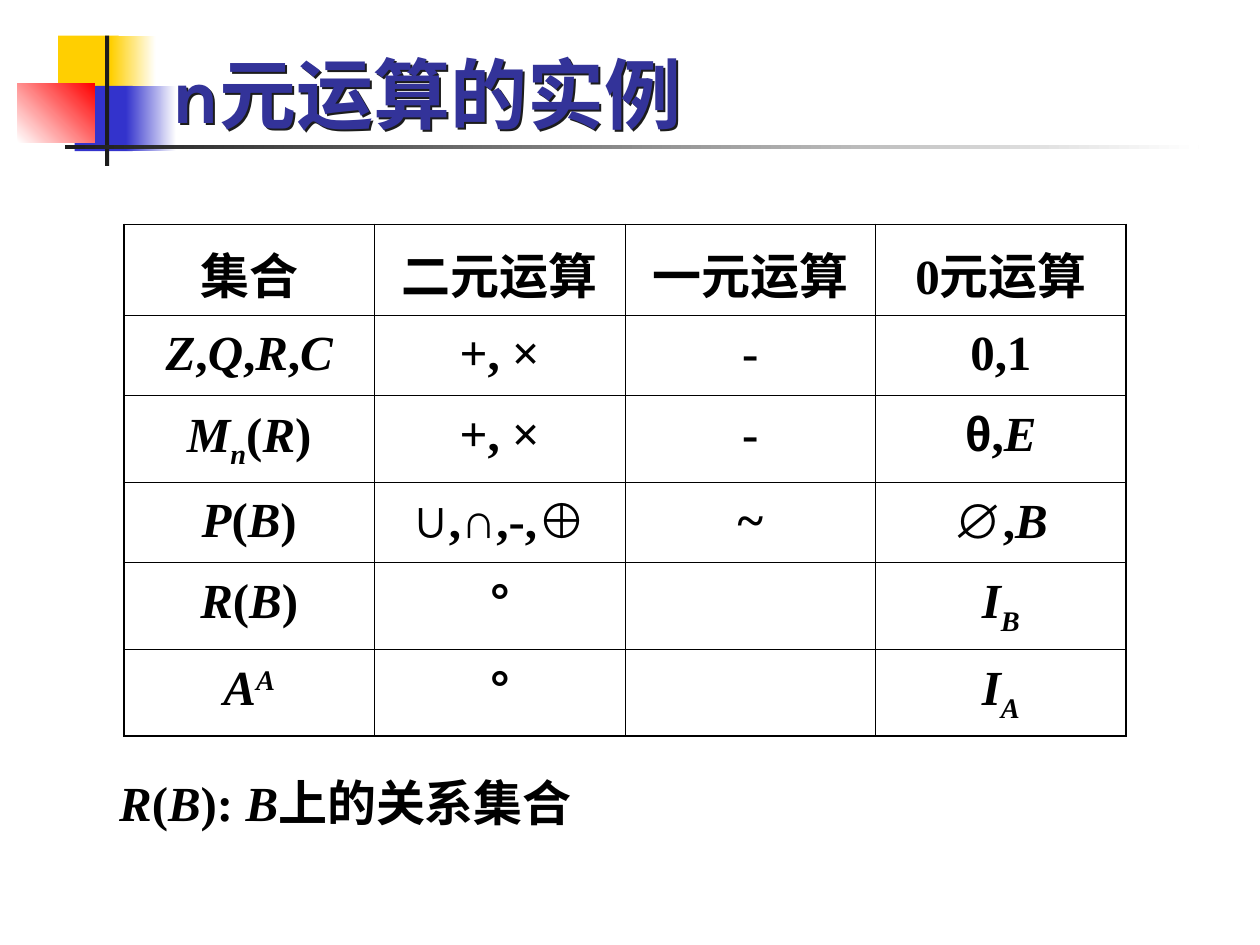
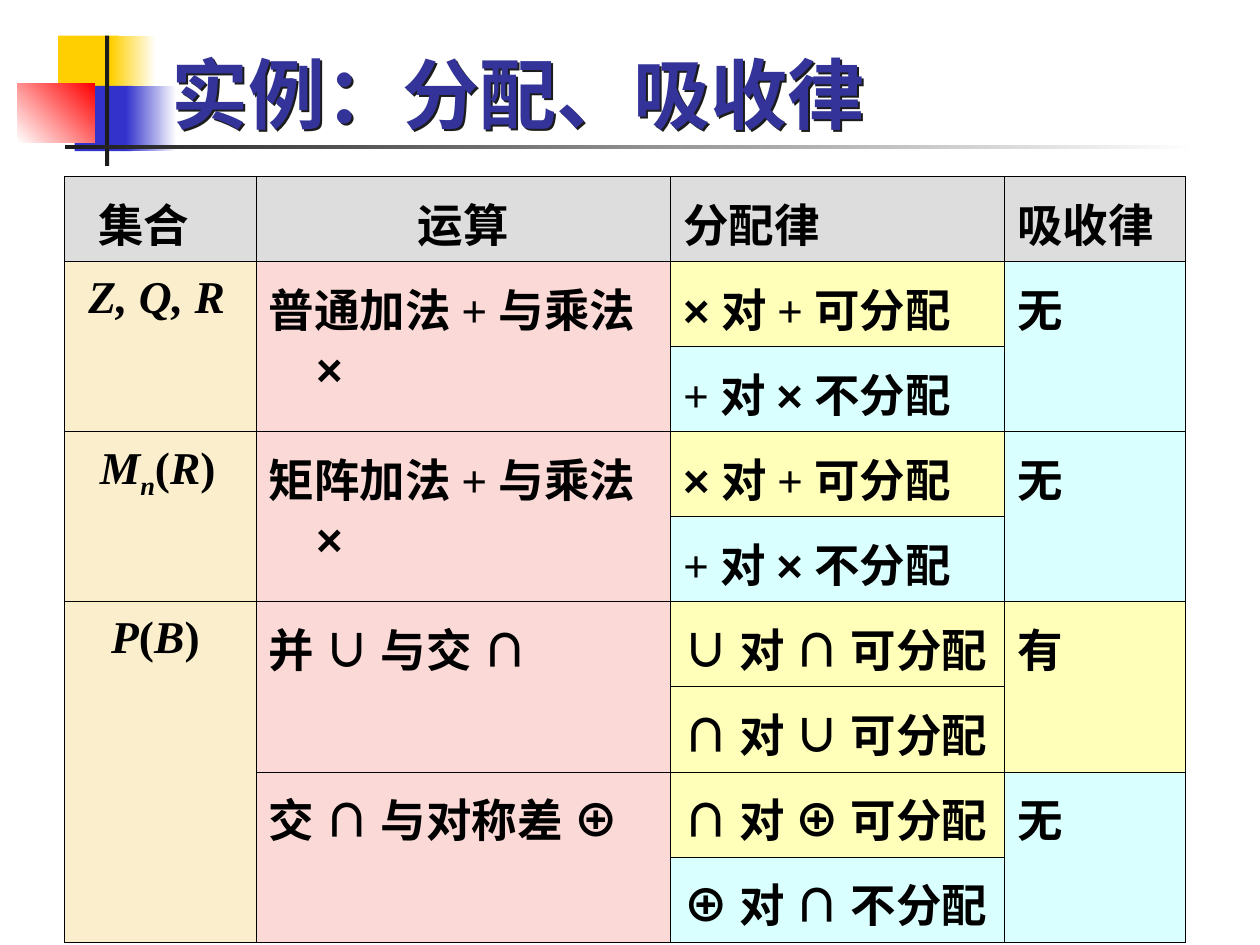
import itertools

import lxml.etree
import pptx
import pptx.dml.color
import pptx.enum.shapes
import pptx.enum.text
import pptx.oxml.ns
import pptx.util

Pt = pptx.util.Pt
qn = pptx.oxml.ns.qn
ALIGN = pptx.enum.text.PP_ALIGN

COLORS = {
    "gold": "FFCF01", "blue": "3333CC", "red": "FF0000", "white": "FFFFFF",
    "rule": "1C1C1C", "title": "333399", "text": "000000",
    "header": "DDDDDD", "set": "FBEECD", "operation": "FAD9D6",
    "holds": "FFFFB9", "fails": "D9FFFF",
}
TITLE_FONT, BODY_FONT, SYMBOL_FONT = "Karla", "Times New Roman", "Arial"
THIN, THICK = 0.45, 1.08
BASELINES = {"_": "-25000", "^": "30000"}

# left, top, width, height, colours (two make a gradient), angle
BAND = [
    (33.2, 20.4, 34.6, 37.4, ["gold"], 0),
    (63.4, 20.4, 25.6, 37.4, ["gold", "white"], 0),
    (42.6, 49, 33.2, 37.4, ["blue"], 0),
    (72, 49, 28.8, 37.4, ["blue", "white"], 0),
    (10, 47.8, 44.2, 33.6, ["white", "red"], 45),
    (60, 20.4, 2.4, 74.4, ["rule"], 0),
    (37, 82.8, 648, 2.4, ["rule", "white"], 0),
]

OPERATION_EXAMPLES = [
    ["集合", "二元运算", "一元运算", "0元运算"],
    ["*Z*,*Q*,*R*,*C*", "+, ×", "-", "0,1"],
    ["*M_n*(*R*)", "+, ×", "-", "θ,*E*"],
    ["*P*(*B*)", "∪,∩,-,⊕", "~", "∅,*B*"],
    ["*R*(*B*)", "°", "", "*I_B*"],
    ["*A^A*", "°", "", "*I_A*"],
]

# None continues the cell above
LAW_EXAMPLES = [
    ["集合", "运算", "分配律", "吸收律"],
    ["*Z, Q, R*", "普通加法 + 与乘法 ×", "× 对 + 可分配", "无"],
    [None, None, "+ 对 × 不分配", None],
    ["*M_n*(*R*)", "矩阵加法 + 与乘法 ×", "× 对 + 可分配", "无"],
    [None, None, "+ 对 × 不分配", None],
    ["*P*(*B*)", "并 ∪ 与交 ∩", "∪ 对 ∩ 可分配", "有"],
    [None, None, "∩ 对 ∪ 可分配", None],
    [None, "交 ∩ 与对称差 ⊕", "∩ 对 ⊕ 可分配", "无"],
    [None, None, "⊕ 对 ∩ 不分配", None],
]
SET_INDENTS = {0: 12, 1: 6.5, 3: 13, 5: 19.5}
HANGING = 27


def rgb(name):
    return pptx.dml.color.RGBColor.from_string(COLORS[name])


def set_font(paragraph, name, size, color):
    font = paragraph.font
    font.name, font.size, font.bold = name, Pt(size), True
    font.color.rgb = rgb(color)


def add_band(slide):
    for left, top, width, height, colors, angle in BAND:
        block = slide.shapes.add_shape(
            pptx.enum.shapes.MSO_SHAPE.RECTANGLE,
            Pt(left), Pt(top), Pt(width), Pt(height))
        block.shadow.inherit = False
        block.line.fill.background()
        if len(colors) == 1:
            block.fill.solid()
            block.fill.fore_color.rgb = rgb(colors[0])
        else:
            block.fill.gradient()
            block.fill.gradient_angle = angle
            for stop, color in zip(block.fill.gradient_stops, colors):
                stop.color.rgb = rgb(color)


def add_title(slide, text):
    """Add the title; the shadow of its unfilled box falls from the letters."""
    title = slide.shapes.add_textbox(Pt(90.8), Pt(6), Pt(613.4), Pt(77))
    frame = title.text_frame
    frame.word_wrap = True
    frame.vertical_anchor = pptx.enum.text.MSO_ANCHOR.BOTTOM
    paragraph = frame.paragraphs[0]
    set_font(paragraph, TITLE_FONT, 44, "title")
    paragraph.add_run().text = text
    effects = lxml.etree.SubElement(title._element.spPr, qn("a:effectLst"))
    shadow = lxml.etree.SubElement(
        effects, qn("a:outerShdw"), dist=str(Pt(1.5)), dir="2700000")
    lxml.etree.SubElement(shadow, qn("a:srgbClr"), val=COLORS["rule"])


def write_formula(paragraph, markup, size, symbols="∪∩⊕∅θ°"):
    """Write markup: *italic*, _ and ^ lower and raise the next character."""
    set_font(paragraph, BODY_FONT, size, "text")
    styled, italic, baseline = [], False, None
    for char in markup:
        if char == "*":
            italic = not italic
        elif char in BASELINES:
            baseline = BASELINES[char]
        else:
            styled.append((char, (italic, baseline, char in symbols)))
            baseline = None
    for style, group in itertools.groupby(styled, key=lambda item: item[1]):
        italic, baseline, is_symbol = style
        run = paragraph.add_run()
        run.text = "".join(char for char, _ in group)
        if italic:
            run.font.italic = True
        if is_symbol:
            run.font.name = SYMBOL_FONT
        if baseline:
            run._r.get_or_add_rPr().set("baseline", baseline)


def set_borders(cell, widths):
    """Draw the left, right, top and bottom borders, before any fill is set."""
    properties = cell._tc.get_or_add_tcPr()
    for side, width in zip(("lnL", "lnR", "lnT", "lnB"), widths):
        line = lxml.etree.SubElement(
            properties, qn(f"a:{side}"), w=str(Pt(width)))
        fill = lxml.etree.SubElement(line, qn("a:solidFill"))
        lxml.etree.SubElement(fill, qn("a:srgbClr"), val=COLORS["text"])


def add_grid(slide, left, top, widths, heights, outer):
    """Add an unfilled ruled table whose outer border has its own width."""
    table = slide.shapes.add_table(
        len(heights), len(widths), Pt(left), Pt(top),
        Pt(sum(widths)), Pt(sum(heights))).table
    table.first_row = table.horz_banding = False
    for column, width in zip(table.columns, widths):
        column.width = Pt(width)
    for row, height in zip(table.rows, heights):
        row.height = Pt(height)
    last_row, last_column = len(heights) - 1, len(widths) - 1
    for r, c in itertools.product(range(len(heights)), range(len(widths))):
        edges = (c == 0, c == last_column, r == 0, r == last_row)
        cell = table.cell(r, c)
        set_borders(cell, [outer if edge else THIN for edge in edges])
        cell.fill.background()
    return table


def add_operation_table(slide):
    table = add_grid(slide, 70.8, 128.2, [143.2] * 4,
                     [52, 46, 49.4, 46, 49.8, 49.4], THICK)
    for r, examples in enumerate(OPERATION_EXAMPLES):
        for c, markup in enumerate(examples):
            if markup:
                paragraph = table.cell(r, c).text_frame.paragraphs[0]
                paragraph.alignment = ALIGN.CENTER
                paragraph.line_spacing = 1.1
                paragraph.space_before = Pt(7)
                write_formula(paragraph, markup, 28)


def law_color(r, c, markup):
    if r == 0:
        return "header"
    if c < 2:
        return ("set", "operation")[c]
    return "fails" if "不" in markup or markup == "无" else "holds"


def add_law_table(slide):
    table = add_grid(slide, 36.8, 100.8, [109.6, 236.8, 190.8, 103.6],
                     [48.64] * len(LAW_EXAMPLES), THIN)
    for c, column in enumerate(zip(*LAW_EXAMPLES)):
        starts = [r for r, markup in enumerate(column) if markup]
        for r, following in zip(starts, starts[1:] + [len(column)]):
            cell = table.cell(r, c)
            if following - r > 1:
                cell.merge(table.cell(following - 1, c))
            cell.fill.solid()
            cell.fill.fore_color.rgb = rgb(law_color(r, c, column[r]))
            paragraph = cell.text_frame.paragraphs[0]
            paragraph.line_spacing = 1.1
            if (r, c) == (0, 1):
                paragraph.alignment = ALIGN.CENTER
            first_indent = SET_INDENTS[r] if c == 0 else 0
            indents = paragraph._p.get_or_add_pPr()
            indents.set("marL", str(Pt(HANGING)))
            indents.set("indent", str(Pt(first_indent - HANGING)))
            write_formula(paragraph, column[r], 26, "∪∩⊕×")


def add_note(slide, markup):
    note = slide.shapes.add_textbox(Pt(61), Pt(437.8), Pt(290), Pt(41))
    frame = note.text_frame
    frame.word_wrap = True
    write_formula(frame.paragraphs[0], markup, 28)


def add_titled_slide(presentation, title):
    slide = presentation.slides.add_slide(presentation.slide_layouts[6])
    add_band(slide)
    add_title(slide, title)
    return slide


def main():
    presentation = pptx.Presentation()
    presentation.slide_width, presentation.slide_height = Pt(720), Pt(540)

    operations = add_titled_slide(presentation, "n元运算的实例")
    add_operation_table(operations)
    add_note(operations, "*R*(*B*): *B*上的关系集合")

    laws = add_titled_slide(presentation, "实例：分配、吸收律")
    add_law_table(laws)

    presentation.save("out.pptx")


if __name__ == "__main__":
    main()
